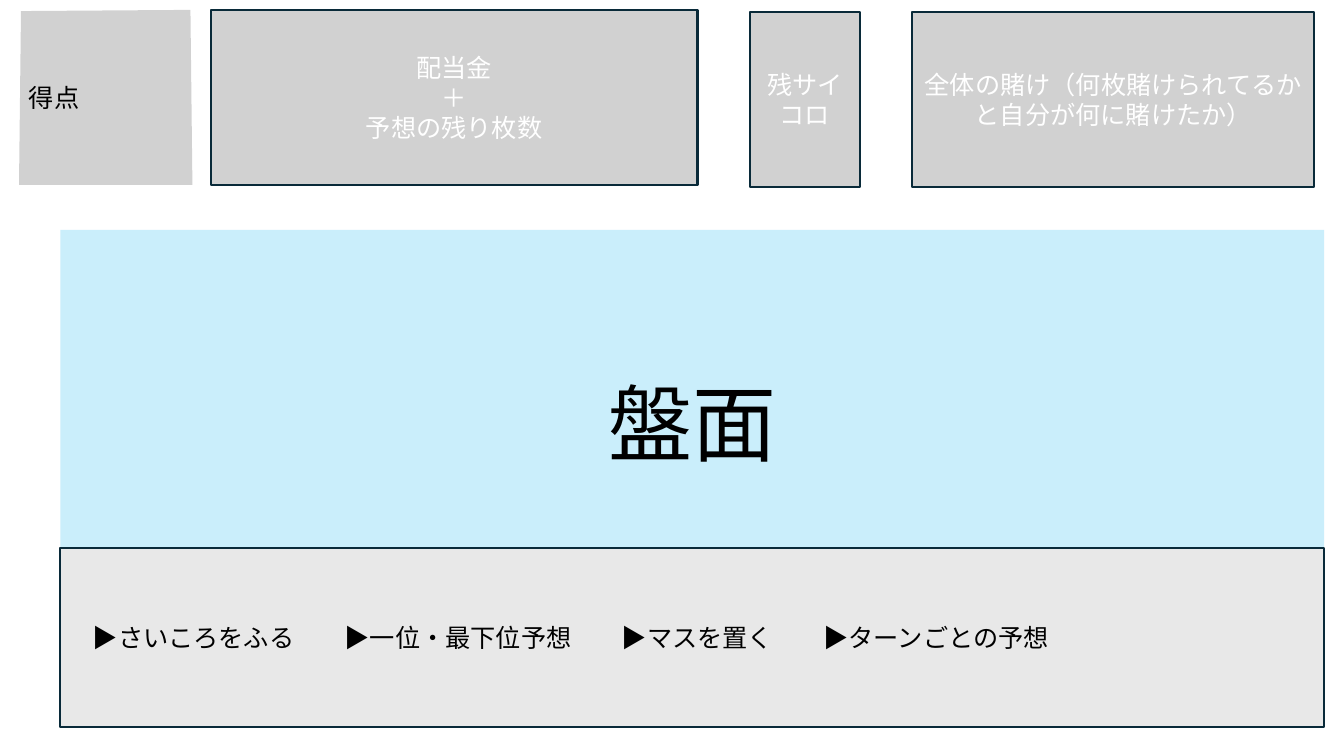
from dataclasses import dataclass
from itertools import accumulate

from lxml.etree import SubElement
from pptx import Presentation
from pptx.dml.color import RGBColor
from pptx.enum.shapes import MSO_SHAPE
from pptx.enum.text import MSO_ANCHOR, MSO_AUTO_SIZE, PP_ALIGN
from pptx.oxml.ns import qn
from pptx.util import Cm, Pt


@dataclass(frozen=True)
class Theme:
    """Colours, type and line sizes of the slide."""
    font: str = "Noto Sans CJK JP"
    board: str = "CAEEFB"
    panel: str = "D1D1D1"
    menu: str = "E8E8E8"
    outline: str = "092A39"
    dark: str = "000000"
    light: str = "FFFFFF"
    title_size: int = 60
    body_size: int = 18
    line_width: float = 1.5


THEME = Theme()


def paint(shape, fill, outlined=False):
    """Fill a shape and give it an outline or none."""
    shape.fill.solid()
    shape.fill.fore_color.rgb = RGBColor.from_string(fill)
    if outlined:
        shape.line.color.rgb = RGBColor.from_string(THEME.outline)
        shape.line.width = Pt(THEME.line_width)
    else:
        shape.line.fill.background()


def write(shape, lines, color, size=THEME.body_size, align=PP_ALIGN.CENTER):
    """Write one paragraph per line, centred vertically in the shape."""
    frame = shape.text_frame
    frame.word_wrap = True
    frame.auto_size = MSO_AUTO_SIZE.NONE
    frame.vertical_anchor = MSO_ANCHOR.MIDDLE
    for index, line in enumerate(lines):
        paragraph = frame.add_paragraph() if index else frame.paragraphs[0]
        paragraph.alignment = align
        run = paragraph.add_run()
        run.text = line
        run.font.name = THEME.font
        run.font.size = Pt(size)
        run.font.color.rgb = RGBColor.from_string(color)
        east_asian = SubElement(run.font._element, qn("a:ea"))
        east_asian.set("typeface", THEME.font)
        run.font._element.find(qn("a:latin")).addnext(east_asian)


def add_board(slide):
    """Turn the title placeholder into the large game board."""
    board = slide.shapes.title
    board.left, board.top, board.width, board.height = Cm(1.52), Cm(5.79), Cm(31.85), Cm(9.98)
    paint(board, THEME.board)
    write(board, ["盤面"], THEME.dark, THEME.title_size)
    board.text_frame.paragraphs[0].line_spacing = 0.9


def add_score(slide):
    """Draw the slightly skewed score panel."""
    corners = [(0.53, 0.28), (4.8, 0.25), (4.85, 4.66), (0.48, 4.66)]
    start, *others = [(Cm(x), Cm(y)) for x, y in corners]
    builder = slide.shapes.build_freeform(*start)
    builder.add_line_segments(others, close=True)
    score = builder.convert_to_shape()
    score.shadow.inherit = False
    paint(score, THEME.panel)
    write(score, ["得点"], THEME.dark, align=PP_ALIGN.LEFT)


def add_box(slide, left, top, width, height, fill):
    """Add an outlined rectangle."""
    box = slide.shapes.add_shape(MSO_SHAPE.RECTANGLE, Cm(left), Cm(top), Cm(width), Cm(height))
    box.shadow.inherit = False
    paint(box, fill, outlined=True)
    return box


def add_menu(slide, actions):
    """Add the action bar, with two characters of space between actions."""
    menu = add_box(slide, 1.52, 13.82, 31.85, 4.5, THEME.menu)
    write(menu, ["\t".join(actions)], THEME.dark, align=PP_ALIGN.LEFT)
    menu.text_frame.margin_left = Cm(0.82)
    properties = menu.text_frame.paragraphs[0]._p.get_or_add_pPr()
    tabs = SubElement(properties, qn("a:tabLst"))
    for characters in accumulate(len(action) + 2 for action in actions[:-1]):
        position = characters * Pt(THEME.body_size)
        SubElement(tabs, qn("a:tab"), pos=str(position), algn="l")


def main():
    """Build the game screen layout and save it."""
    presentation = Presentation()
    presentation.slide_width, presentation.slide_height = Cm(33.87), Cm(19.05)
    slide = presentation.slides.add_slide(presentation.slide_layouts[5])
    add_board(slide)
    add_score(slide)
    panels = [
        (5.31, 0.25, 12.27, ["配当金", "＋", "予想の残り枚数"]),
        (18.9, 0.3, 2.77, ["残サイコロ"]),
        (22.99, 0.3, 10.13, ["全体の賭け（何枚賭けられてるかと自分が何に賭けたか）"]),
    ]
    for left, top, width, lines in panels:
        write(add_box(slide, left, top, width, 4.42, THEME.panel), lines, THEME.light)
    add_menu(slide, ["▶さいころをふる", "▶一位・最下位予想", "▶マスを置く", "▶ターンごとの予想"])
    presentation.save("out.pptx")


if __name__ == "__main__":
    main()
